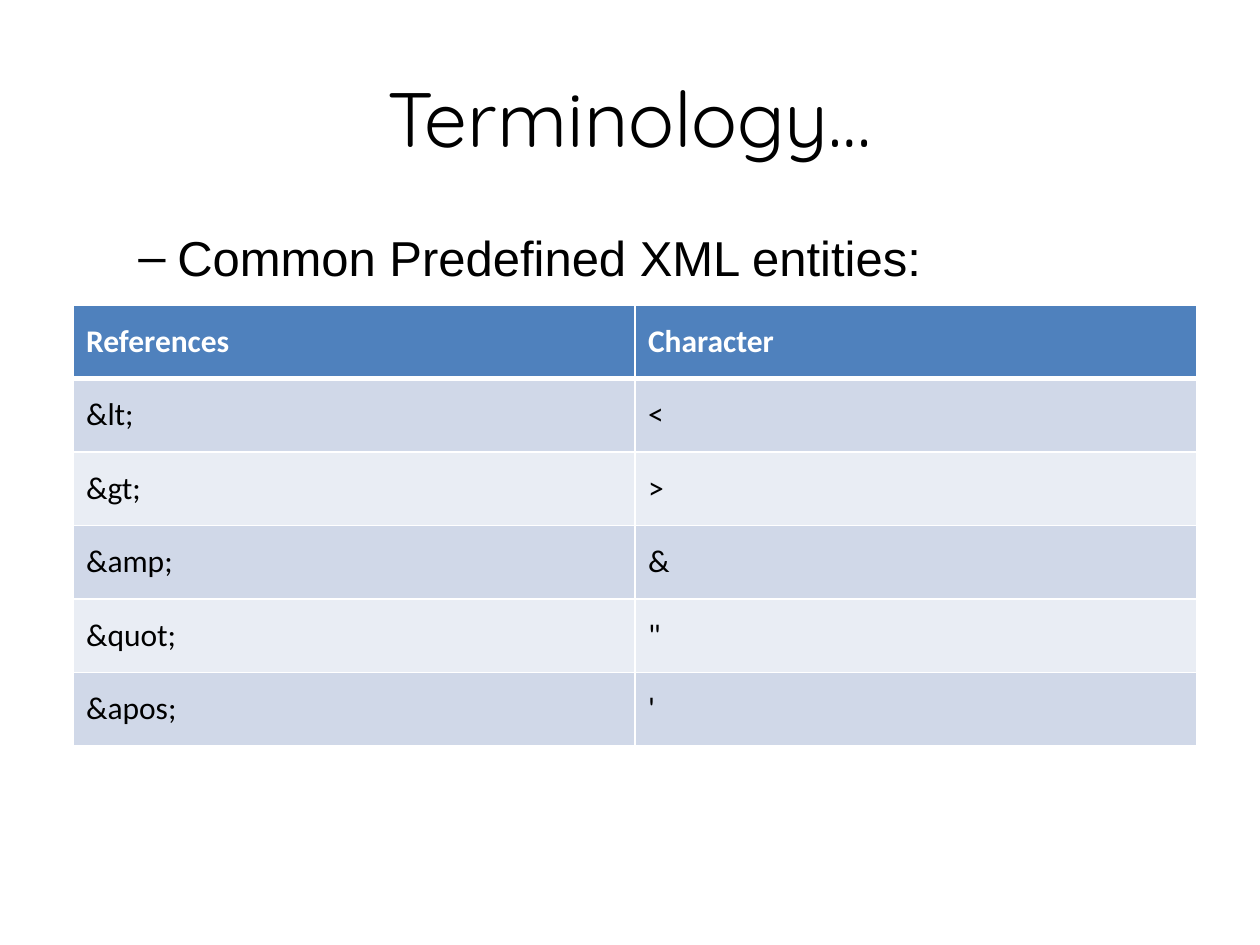
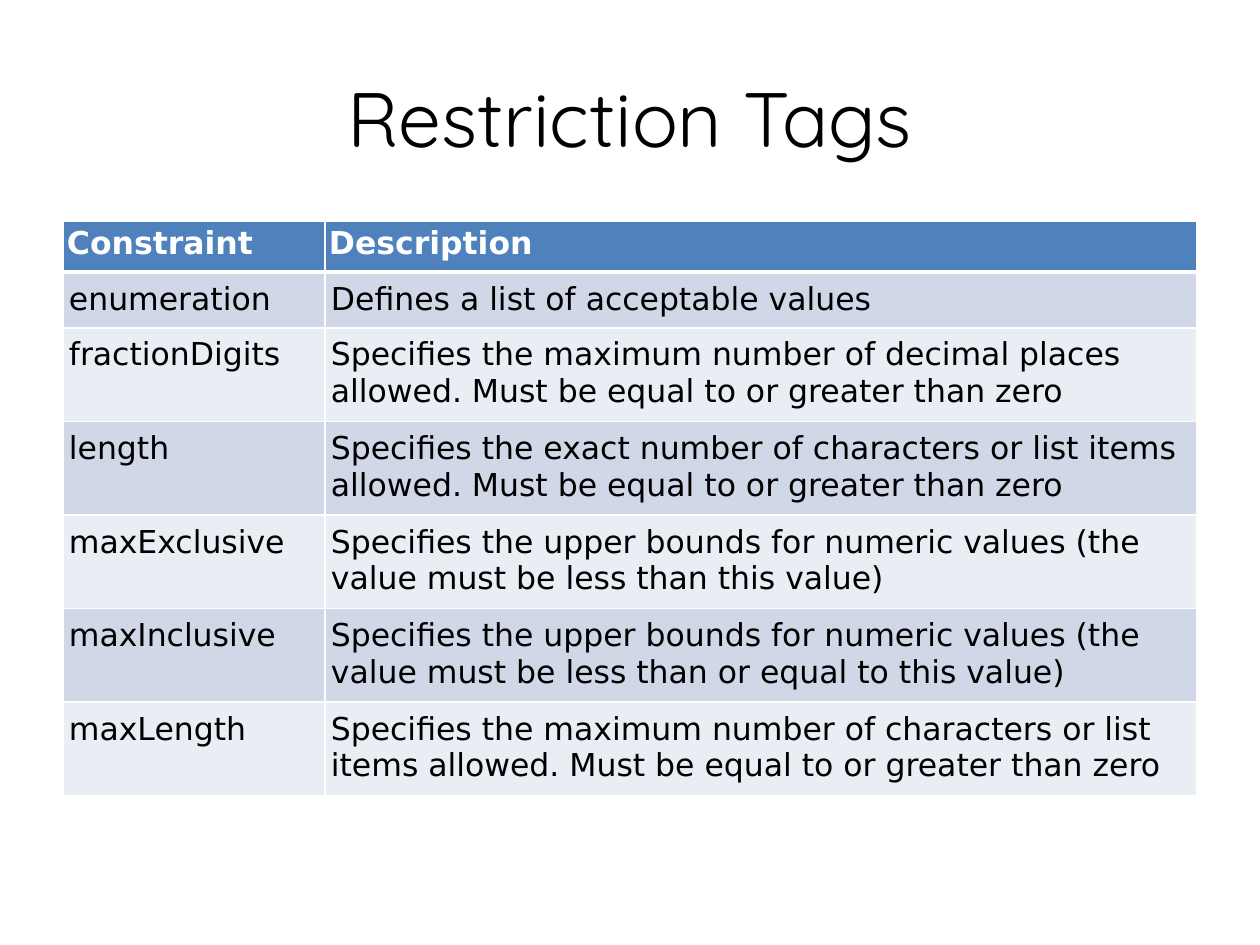
"""Build two slides on XML: predefined entities and restriction tags."""
from dataclasses import dataclass

from lxml.etree import SubElement
from pptx import Presentation
from pptx.dml.color import RGBColor as Color
from pptx.enum.text import MSO_ANCHOR as Anchor, PP_ALIGN as Align
from pptx.oxml.ns import qn
from pptx.util import Pt


@dataclass(frozen=True)
class Theme:
    black: str = "000000"
    white: str = "FFFFFF"
    header: str = "4F81BD"
    bands: tuple = ("E9EDF4", "D0D8E8")
    title_font: str = "Quicksand"
    body_font: str = "Arial"
    title_size: int = 44
    body_size: int = 28
    cell_size: int = 18
    thin: int = 1
    thick: int = 3


theme = Theme()


def px(*lengths):
    return [round(length * 914400 / 126) for length in lengths]


def write(frame, text, *, font, size, color=theme.black, bold=False,
          align=Align.LEFT, anchor=Anchor.TOP, dash=False):
    frame.word_wrap = True
    frame.vertical_anchor = anchor
    para = frame.paragraphs[0]
    para.alignment = align
    if dash:
        layout = para._p.get_or_add_pPr()
        indent, hang = px(102, -39)
        layout.set("marL", str(indent))
        layout.set("indent", str(hang))
        before = SubElement(layout, qn("a:spcBef"))
        SubElement(before, qn("a:spcPct"), val="20000")
        SubElement(layout, qn("a:buFont"), typeface=font)
        SubElement(layout, qn("a:buChar"), char="–")
    span = para.add_run()
    span.text = text
    span.font.name = font
    span.font.size = Pt(size)
    span.font.bold = bold
    span.font.color.rgb = Color.from_string(color)


entities = dict(
    title="Terminology…",
    lead="Common Predefined XML entities:",
    place=(73, 305, 1124, 441),
    columns=(562, 562),
    row_height=None,
    font="Calibri",
    anchor=Anchor.MIDDLE,
    header_inset=(13, 6),
    body_inset=(13, 6),
    rows=[
        ("References", "Character"),
        ("&lt;", "<"),
        ("&gt;", ">"),
        ("&amp;", "&"),
        ("&quot;", '"'),
        ("&apos;", "'"),
    ],
)
restrictions = dict(
    title="Restriction Tags",
    lead=None,
    place=(63, 221, 1134, 624),
    columns=(262, 872),
    row_height=51,
    font="DejaVu Sans",
    anchor=Anchor.TOP,
    header_inset=(4, 4),
    body_inset=(6, 9),
    rows=[
        ("Constraint", "Description"),
        ("enumeration", "Defines a list of acceptable values"),
        ("fractionDigits", "Specifies the maximum number of decimal places allowed. "
                           "Must be equal to or greater than zero"),
        ("length", "Specifies the exact number of characters or list items allowed. "
                   "Must be equal to or greater than zero"),
        ("maxExclusive", "Specifies the upper bounds for numeric values "
                         "(the value must be less than this value)"),
        ("maxInclusive", "Specifies the upper bounds for numeric values "
                         "(the value must be less than or equal to this value)"),
        ("maxLength", "Specifies the maximum number of characters or list items allowed. "
                      "Must be equal to or greater than zero"),
    ],
)

deck = Presentation()
deck.slide_width, deck.slide_height = px(1260, 945)

for topic in (entities, restrictions):
    page = deck.slides.add_slide(deck.slide_layouts[6])
    title_box = page.shapes.add_textbox(*px(63, 38, 1134, 157))
    write(title_box.text_frame, topic["title"], font=theme.title_font,
          size=theme.title_size, align=Align.CENTER, anchor=Anchor.MIDDLE)
    if topic["lead"]:
        lead_box = page.shapes.add_textbox(*px(63, 221, 1134, 624))
        write(lead_box.text_frame, topic["lead"], font=theme.body_font,
              size=theme.body_size, dash=True)

    rows = topic["rows"]
    table = page.shapes.add_table(len(rows), 2, *px(*topic["place"])).table
    for column, width in zip(table.columns, px(*topic["columns"])):
        column.width = width
    if topic["row_height"]:
        for row in table.rows:
            row.height, = px(topic["row_height"])

    for row_index, texts in enumerate(rows):
        is_header = row_index == 0
        inset = topic["header_inset" if is_header else "body_inset"]
        edges = {
            "L": theme.thin,
            "R": theme.thin,
            "T": theme.thick if row_index == 1 else theme.thin,
            "B": theme.thick if is_header else theme.thin,
        }
        for column_index, text in enumerate(texts):
            cell = table.cell(row_index, column_index)
            cell.margin_left, cell.margin_top = px(*inset)
            cell.margin_right, cell.margin_bottom = px(*inset)
            cell.vertical_anchor = topic["anchor"]
            properties = cell._tc.get_or_add_tcPr()
            for side, weight in edges.items():
                line = SubElement(properties, qn(f"a:ln{side}"), w=str(Pt(weight)))
                paint = SubElement(line, qn("a:solidFill"))
                SubElement(paint, qn("a:srgbClr"), val=theme.white)
            cell.fill.solid()
            fill = theme.header if is_header else theme.bands[row_index % 2]
            cell.fill.fore_color.rgb = Color.from_string(fill)
            write(cell.text_frame, text, font=topic["font"], size=theme.cell_size,
                  color=theme.white if is_header else theme.black,
                  bold=is_header, anchor=None)

deck.save("out.pptx")
